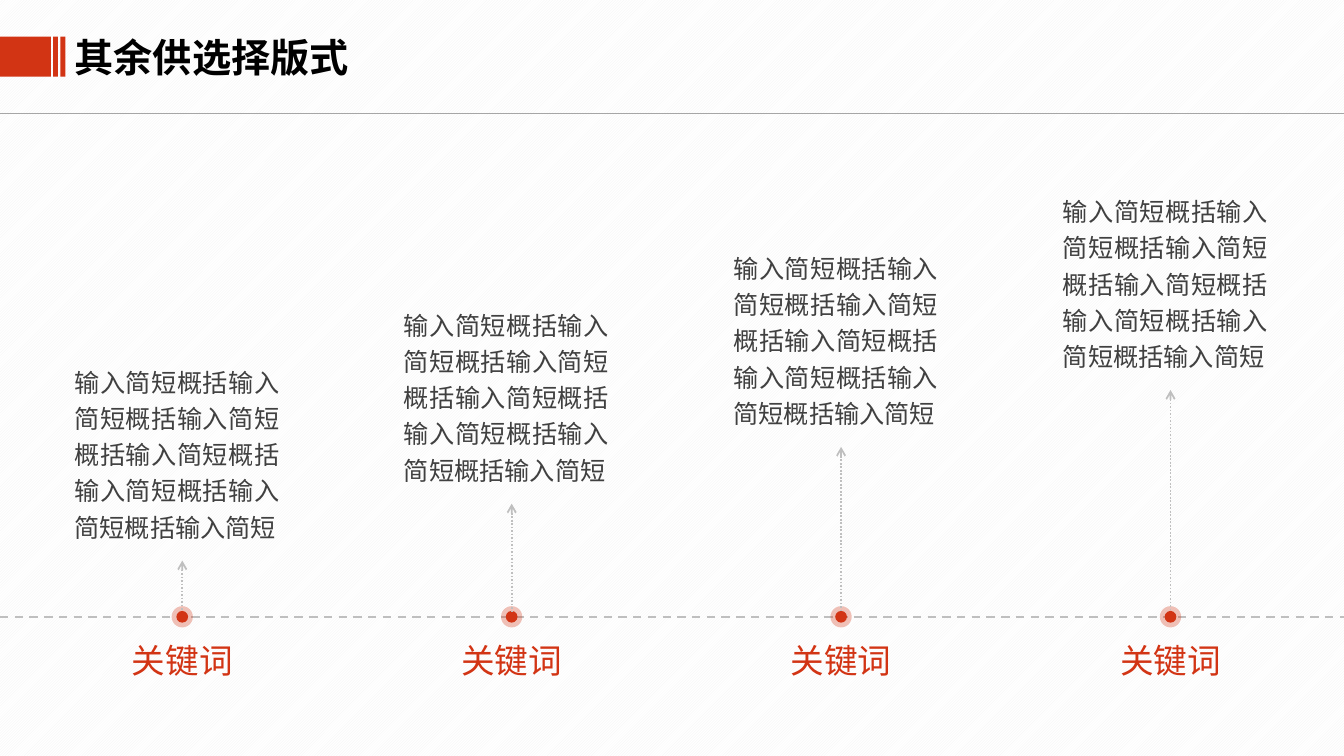
import pptx
import pptx.dml.color
import pptx.enum.dml
import pptx.enum.shapes
import pptx.enum.text
import pptx.oxml
import pptx.oxml.ns
import pptx.util

Pt = pptx.util.Pt
Shape = pptx.enum.shapes.MSO_SHAPE
Align = pptx.enum.text.PP_ALIGN
Anchor = pptx.enum.text.MSO_ANCHOR
Dash = pptx.enum.dml.MSO_LINE

WIDTH, HEIGHT = 960, 540
FONT = "Noto Sans CJK SC"
RED, GRAY, DARK = "D23414", "BFBFBF", "404040"
AXIS_Y = 440.6
COLUMN_LEFT, COLUMN_PITCH, COLUMN_WIDTH = 53.3, 235.3, 153.4
FIRST_TOP, STEP_UP = 254.2, 40.6
SUMMARY = "输入简短概括" * 6 + "输入简短"
KEYWORDS = ["关键词"] * 4


def color(value):
    return pptx.dml.color.RGBColor.from_string(value)


def append_xml(parent, tag, **attributes):
    element = pptx.oxml.parse_xml(f"<a:{tag} {pptx.oxml.ns.nsdecls('a')}/>")
    for name, value in attributes.items():
        element.set(name, value)
    parent.append(element)


def write_text(shape, text, size, fill, frame_format, paragraph_format, bold=False):
    frame = shape.text_frame
    frame.text = text
    for name, value in frame_format.items():
        setattr(frame, name, value)
    paragraph = frame.paragraphs[0]
    for name, value in paragraph_format.items():
        setattr(paragraph, name, value)
    font = paragraph.runs[0].font
    for name, value in {"name": FONT, "size": Pt(size), "bold": bold}.items():
        setattr(font, name, value)
    font.color.rgb = color(fill)
    append_xml(paragraph.runs[0].font._element, "ea", typeface=FONT)


def add_filled(shapes, kind, left, top, width, height, alpha=None):
    shape = shapes.add_shape(kind, Pt(left), Pt(top), Pt(width), Pt(height))
    shape.shadow.inherit = False
    shape.fill.solid()
    shape.fill.fore_color.rgb = color(RED)
    shape.line.fill.background()
    if alpha:
        append_xml(shape.fill._xPr.find(".//" + pptx.oxml.ns.qn("a:srgbClr")),
                   "alpha", val=str(alpha * 1000))


def add_line(slide, start, end, fill, width, dash=None, arrow_at_start=False):
    line = slide.shapes.add_connector(
        pptx.enum.shapes.MSO_CONNECTOR.STRAIGHT, *map(Pt, start + end))
    line.line.color.rgb = color(fill)
    line.line.width = Pt(width)
    if dash:
        line.line.dash_style = dash
    if arrow_at_start:
        append_xml(line.line._get_or_add_ln(), "headEnd", type="arrow")
    append_xml(line._element.spPr, "effectLst")


def add_header(slide, title, top, height):
    add_line(slide, (0, 80.8), (WIDTH, 80.8), "A6A6A6", 0.75)
    for left, width in [(0, 36.4), (38, 3.4), (43.2, 3.6)]:
        add_filled(slide.shapes, Shape.RECTANGLE, left, top, width, height)
    placeholder = slide.shapes.title
    box = {"left": COLUMN_LEFT, "top": top - 6, "width": 205, "height": height + 12}
    for name, value in box.items():
        setattr(placeholder, name, Pt(value))
    write_text(placeholder, title, 28, "000000",
               {"margin_left": 0, "word_wrap": False, "vertical_anchor": Anchor.MIDDLE,
                "auto_size": pptx.enum.text.MSO_AUTO_SIZE.NONE},
               {"alignment": Align.LEFT}, bold=True)


def add_marker(slide, center_x, center_y):
    """A solid dot inside a translucent halo, grouped."""
    group = slide.shapes.add_group_shape()
    for size, alpha in [(15.2, 30), (8.4, None)]:
        add_filled(group.shapes, Shape.OVAL, center_x - size / 2, center_y - size / 2,
                   size, size, alpha)


def add_column(slide, keyword, left, top):
    center = left + 76.9
    add_marker(slide, center, AXIS_Y)
    add_line(slide, (center, top + 146.2), (center, AXIS_Y - 4.2), GRAY, 1.25,
             Dash.ROUND_DOT, arrow_at_start=True)
    label = slide.shapes.add_textbox(Pt(center - 43.6), Pt(453.6), Pt(87.2), Pt(36))
    write_text(label, keyword, 24, RED, {"word_wrap": False}, {"alignment": Align.CENTER})
    summary = slide.shapes.add_textbox(Pt(left), Pt(top), Pt(COLUMN_WIDTH), Pt(136))
    write_text(summary, SUMMARY, 18, DARK, {"margin_left": 0, "word_wrap": True},
               {"alignment": Align.JUSTIFY, "line_spacing": 1.2})


def add_timeline(slide):
    add_line(slide, (0, AXIS_Y), (WIDTH, AXIS_Y), GRAY, 1.5, Dash.DASH)
    for index, keyword in enumerate(KEYWORDS):
        add_column(slide, keyword, COLUMN_LEFT + index * COLUMN_PITCH,
                   FIRST_TOP - index * STEP_UP)


def main():
    presentation = pptx.Presentation()
    presentation.slide_width, presentation.slide_height = Pt(WIDTH), Pt(HEIGHT)
    slide = presentation.slides.add_slide(presentation.slide_layouts[5])
    background = slide.background.fill
    background.patterned()
    background.pattern = pptx.enum.dml.MSO_PATTERN.LIGHT_UPWARD_DIAGONAL
    background.fore_color.rgb = color("F2F2F2")
    background.back_color.rgb = color("FFFFFF")
    add_header(slide, "其余供选择版式", 26.2, 28.6)
    add_timeline(slide)
    presentation.save("out.pptx")


if __name__ == "__main__":
    main()
